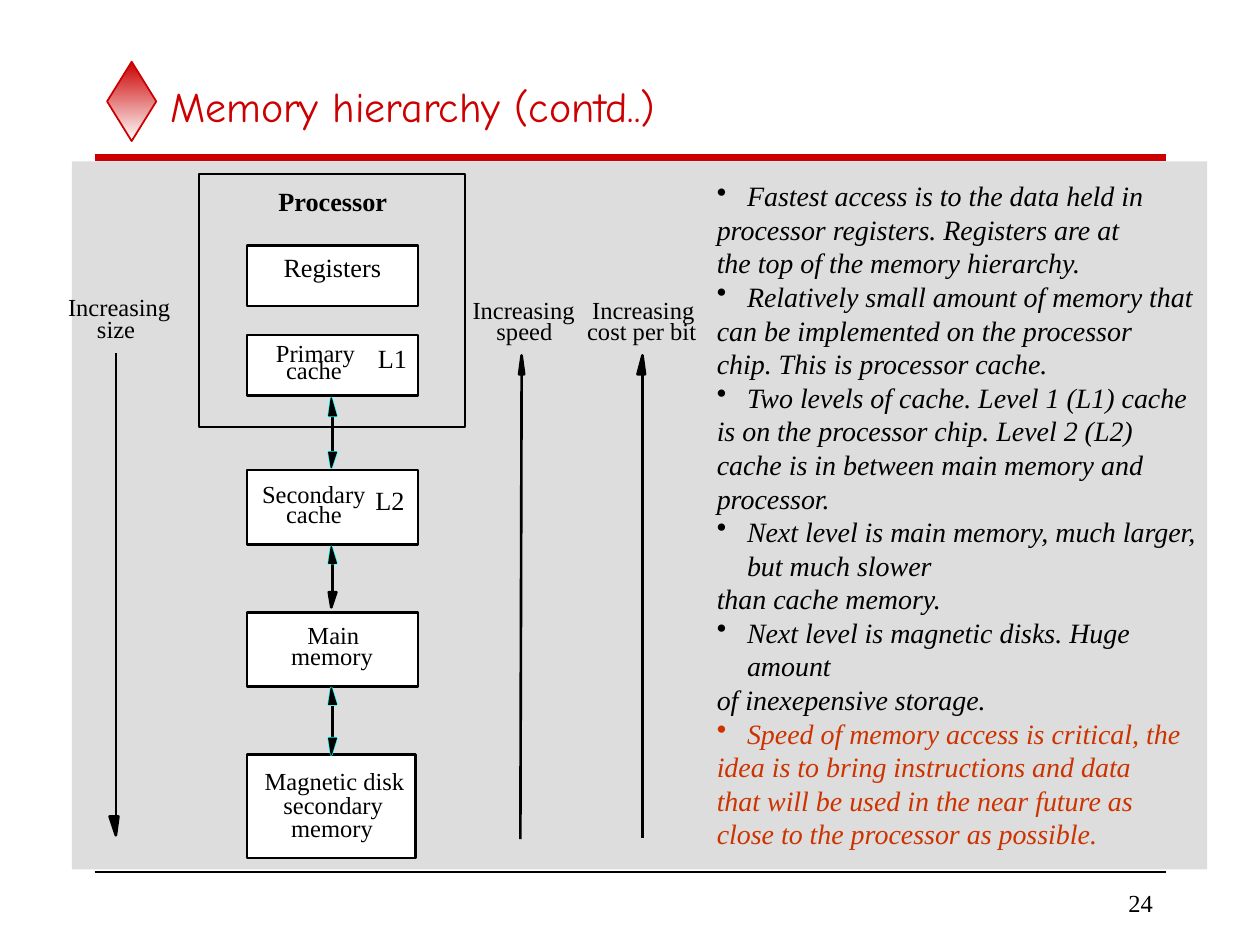
"""Build the memory hierarchy slide."""
from lxml import etree
from pptx import Presentation, util as u
from pptx.dml.color import RGBColor
from pptx.enum import shapes as sh, text as tx
from pptx.oxml.ns import qn

PX = 9144
SLACK = 4
RED = RGBColor(0xCC, 0, 0)
RUST = RGBColor(0xCC, 0x33, 0)
BLACK = RGBColor(0, 0, 0)
WHITE = RGBColor(255, 255, 255)
GREY = RGBColor(0xDD, 0xDD, 0xDD)
CYAN = RGBColor(0, 255, 255)
SERIF = "Times New Roman"

deck = Presentation()
deck.slide_width, deck.slide_height = 1000 * PX, 750 * PX
slide = deck.slides.add_slide(deck.slide_layouts[5])
parts = slide.shapes


def paint(shape, fill, line, width=1.5):
    shape.shadow.inherit = False
    if fill is None:
        shape.fill.background()
    else:
        shape.fill.solid()
        shape.fill.fore_color.rgb = fill
    if line is None:
        shape.line.fill.background()
    else:
        shape.line.color.rgb = line
        shape.line.width = u.Pt(width)


def label(words, x, y, w, h, size, bold=False):
    box = parts.add_textbox(x * PX, y * PX, (w + SLACK) * PX, h * PX)
    frame = box.text_frame
    frame.word_wrap = False
    frame.margin_left = frame.margin_right = 0
    frame.margin_top = frame.margin_bottom = 0
    para = frame.paragraphs[0]
    para.text = words
    para.font.name, para.font.size = SERIF, u.Pt(size)
    para.font.bold, para.font.color.rgb = bold, BLACK
    return para


gem = parts.add_shape(sh.MSO_SHAPE.DIAMOND, 85 * PX, 49 * PX, 39 * PX, 63 * PX)
paint(gem, WHITE, RED, 1)
gem.fill.gradient()
gem.fill.gradient_angle = 270
for stop, hue in zip(gem.fill.gradient_stops, (RED, WHITE)):
    stop.color.rgb = hue

title = parts.title
title.left, title.top, title.width, title.height = 125 * PX, 50 * PX, 800 * PX, 67 * PX
title.text_frame.vertical_anchor = tx.MSO_ANCHOR.MIDDLE
head = title.text_frame.paragraphs[0]
head.text = "Memory hierarchy (contd..)"
head.alignment = tx.PP_ALIGN.LEFT
head.font.name, head.font.size, head.font.color.rgb = "Comic Neue", u.Pt(24), RED

label("24", 783, 705, 128, 23, 14).alignment = tx.PP_ALIGN.RIGHT

rects = [
    (57, 128, 901, 562, GREY, None),
    (158, 138, 211, 201, None, BLACK),
    (196, 195, 136, 48, WHITE, BLACK),
    (196, 266, 136, 48, WHITE, BLACK),
    (196, 373, 136, 59, WHITE, BLACK),
    (196, 486, 136, 59, WHITE, BLACK),
    (196, 599, 134, 82, WHITE, BLACK),
]
for x, y, w, h, fill, line in rects:
    rect = parts.add_shape(sh.MSO_SHAPE.RECTANGLE, x * PX, y * PX, w * PX, h * PX)
    paint(rect, fill, line)

lines = [
    (75, 125, 925, 125, RED, 4),
    (75, 692, 925, 692, BLACK, 1),
    (264, 358, 264, 330, BLACK, 1.5),
    (264, 470, 264, 447, BLACK, 1.5),
    (264, 585, 264, 560, BLACK, 1.5),
    (92, 648, 92, 280, BLACK, 1.5),
    (414, 297, 413, 666, BLACK, 1.5),
    (510, 297, 510, 665, BLACK, 1.5),
]
for x, y, end, base, hue, width in lines:
    rule = parts.add_connector(sh.MSO_CONNECTOR.STRAIGHT, x * PX, y * PX, end * PX, base * PX)
    rule.line.color.rgb, rule.line.width = hue, u.Pt(width)
    etree.SubElement(rule._element.spPr, qn("a:effectLst"))

tips = [
    (261, 263, 267, 330, 316, CYAN),
    (261, 263, 267, 359, 371, CYAN),
    (261, 263, 267, 447, 434, CYAN),
    (261, 263, 267, 470, 482, BLACK),
    (261, 263, 267, 559, 546, CYAN),
    (261, 263, 267, 586, 599, CYAN),
    (87, 92, 94, 648, 663, BLACK),
    (412, 414, 416, 297, 282, BLACK),
    (506, 510, 512, 297, 282, BLACK),
]
for left, mid, right, base, peak, edge in tips:
    for fill, line, width in ((None, edge, 1.5), (BLACK, BLACK, 0)):
        pen = parts.build_freeform(left, base, scale=PX)
        pen.add_line_segments([(mid, peak), (right, base)], close=True)
        paint(pen.convert_to_shape(), fill, line, width)

label("Processor", 221, 147, 86, 25, 15, True)
for words, x, y, w in [
    ("Registers", 225, 199, 77),
    ("L1", 300, 272, 23),
    ("L2", 298, 384, 23),
]:
    label(words, x, y, w, 25, 15)
for words, x, y, w in [
    ("Primary", 219, 268, 63),
    ("cache", 227, 282, 44),
    ("Secondary", 208, 380, 82),
    ("cache", 227, 396, 44),
    ("Main", 244, 492, 41),
    ("memory", 231, 509, 65),
    ("Magnetic disk", 210, 608, 111),
    ("secondary", 225, 627, 79),
    ("memory", 231, 645, 65),
    ("Increasing", 54, 232, 81),
    ("size", 77, 249, 30),
    ("Increasing", 375, 234, 81),
    ("speed", 394, 251, 44),
    ("Increasing", 470, 234, 81),
    ("cost per bit", 466, 251, 87),
]:
    label(words, x, y, w, 23, 14)

notes = [
    ("Fastest access is to the data held in",
     "processor registers. Registers are at",
     "the top of the memory hierarchy."),
    ("Relatively small amount of memory that",
     "can be implemented on the processor",
     "chip. This is processor cache."),
    ("Two levels of cache. Level 1 (L1) cache",
     "is on the processor chip. Level 2 (L2)",
     "cache is in between main memory and",
     "processor."),
    ("Next level is main memory, much larger, but much slower",
     "than cache memory."),
    ("Next level is magnetic disks. Huge amount",
     "of inexepensive storage."),
    ("Speed of memory access is critical, the",
     "idea is to bring instructions and data",
     "that will be used in the near future as",
     "close to the processor as possible."),
]
body = parts.add_textbox(559 * PX, 137 * PX, 402 * PX, 543 * PX).text_frame
body.word_wrap = True
para = body.paragraphs[0]
for note in notes:
    for row, words in enumerate(note):
        if para.text:
            para = body.add_paragraph()
        para.text = words
        para.line_spacing = u.Pt(19.2)
        para.font.name, para.font.size, para.font.italic = SERIF, u.Pt(16), True
        para.font.color.rgb = RUST if note is notes[-1] else BLACK
        if row == 0:
            props = para._p.get_or_add_pPr()
            props.set("marL", str(24 * PX))
            props.set("indent", str(-24 * PX))
            mark = etree.Element(qn("a:buChar"), char="•")
            props.find(qn("a:defRPr")).addprevious(mark)

deck.save("out.pptx")
